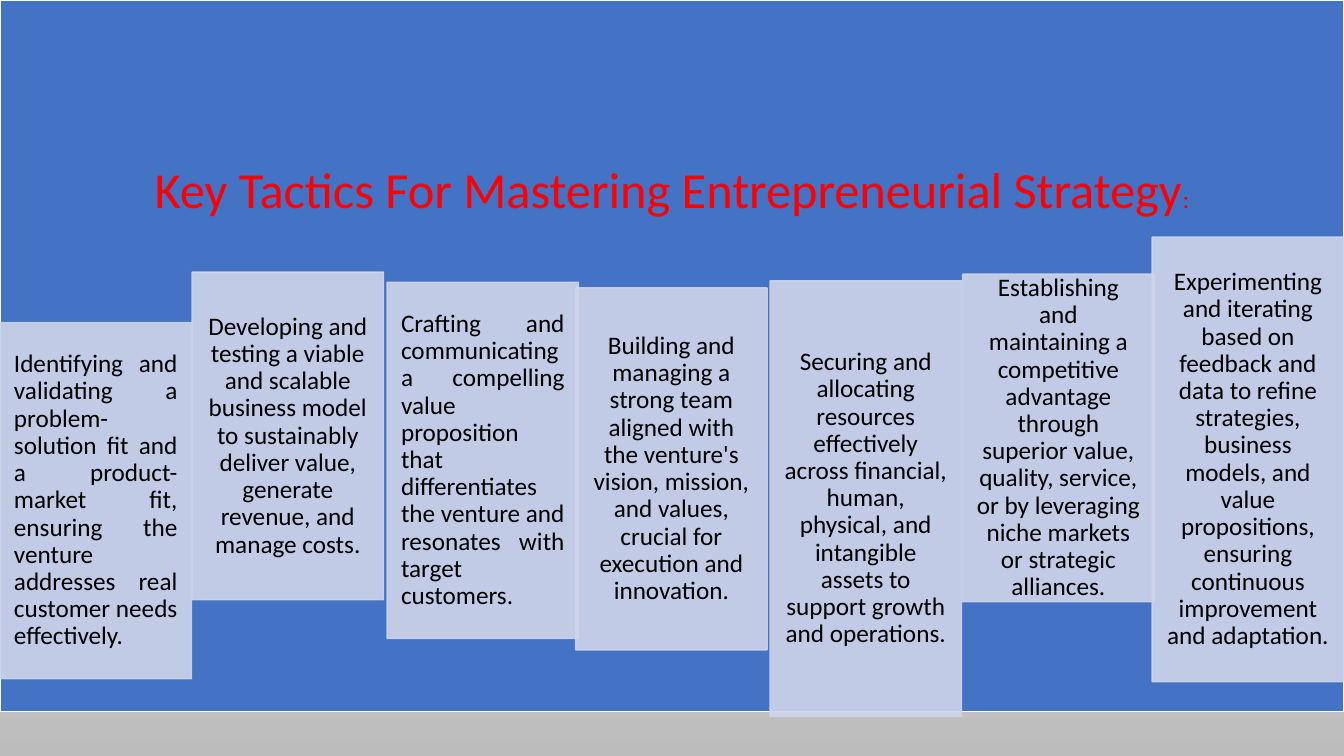
import copy
import dataclasses

import lxml.etree
import pptx
import pptx.dml.color
import pptx.enum.shapes
import pptx.enum.text
import pptx.oxml.ns
import pptx.util

Pt = pptx.util.Pt
Align = pptx.enum.text.PP_ALIGN
qn = pptx.oxml.ns.qn


@dataclasses.dataclass
class Theme:
    font: str = "Calibri"
    panel: str = "4472C4"
    edge: str = "FFFFFF"
    card: str = "CFD5EA"
    head: str = "FF0000"
    text: str = "000000"
    back: tuple = ((0, "EBEAEA"), (0.5, "E4E3E3"), (1, "BDBCBC"))
    large: int = 36
    small: int = 18
    alpha: int = 90


def tint(code):
    return pptx.dml.color.RGBColor.from_string(code)


class Board:
    def __init__(self, theme, slide):
        self.theme = theme
        self.slide = slide

    def back(self):
        fill = self.slide.background.fill
        fill.gradient()
        fill.gradient_angle = 270
        stops = next(self.slide.element.iter(qn("a:gsLst")))
        stops.insert(1, copy.deepcopy(stops[0]))
        for stop, (place, code) in zip(fill.gradient_stops, self.theme.back):
            stop.position = place
            stop.color.rgb = tint(code)

    def box(self, left, top, width, height, fill, edge):
        shape = self.slide.shapes.add_shape(
            pptx.enum.shapes.MSO_SHAPE.RECTANGLE,
            Pt(left), Pt(top), Pt(width), Pt(height))
        shape.shadow.inherit = False
        shape.fill.solid()
        shape.fill.fore_color.rgb = tint(fill)
        shape.line.color.rgb = tint(edge)
        shape.line.width = Pt(1)
        return shape

    def label(self, shape, text, align, size, code, side, end):
        frame = shape.text_frame
        frame.word_wrap = True
        frame.auto_size = pptx.enum.text.MSO_AUTO_SIZE.NONE
        frame.vertical_anchor = pptx.enum.text.MSO_ANCHOR.MIDDLE
        frame.margin_left = frame.margin_right = Pt(side)
        frame.margin_top = frame.margin_bottom = Pt(end)
        para = frame.paragraphs[0]
        para.alignment = align
        para.line_spacing = 0.9
        para.font.name = self.theme.font
        para.font.size = Pt(size)
        para.font.color.rgb = tint(code)
        para.add_run().text = text
        return para

    def title(self, panel, text, tail):
        theme = self.theme
        shape = self.slide.shapes.title
        shape.left = shape.top = 0
        shape.width, shape.height = Pt(960), Pt(274.5)
        para = self.label(shape, text, Align.CENTER, theme.large, theme.head, 20, 20)
        run = para.add_run()
        run.text = tail
        run.font.size = Pt(theme.small)
        panel.element.addnext(shape.element)

    def card(self, left, top, height, align, text):
        theme = self.theme
        shape = self.box(left, top, 136.8, height, theme.card, theme.card)
        for colour in shape.element.iter(qn("a:srgbClr")):
            alpha = lxml.etree.SubElement(colour, qn("a:alpha"))
            alpha.set("val", str(theme.alpha * 1000))
        self.label(shape, text, align, theme.small, theme.text, 10, 2)


CARDS = [
    (0, 230.4, 254.4, Align.JUSTIFY,
     "Identifying and validating a problem-solution fit and a product-market fit, "
     "ensuring the venture addresses real customer needs effectively."),
    (137.2, 194.4, 234, Align.CENTER,
     "Developing and testing a viable and scalable business model to sustainably "
     "deliver value, generate revenue, and manage costs."),
    (276.5, 201.6, 254.4, Align.JUSTIFY,
     "Crafting and communicating a compelling value proposition that "
     "differentiates the venture and resonates with target customers."),
    (411.2, 205.6, 258.6, Align.CENTER,
     "Building and managing a strong team aligned with the venture's vision, "
     "mission, and values, crucial for execution and innovation."),
    (550, 200.6, 311, Align.CENTER,
     "Securing and allocating resources effectively across financial, human, "
     "physical, and intangible assets to support growth and operations."),
    (687.6, 195.8, 234, Align.CENTER,
     "Establishing and maintaining a competitive advantage through superior value, "
     "quality, service, or by leveraging niche markets or strategic alliances."),
    (823, 169.4, 317.5, Align.CENTER,
     "Experimenting and iterating based on feedback and data to refine strategies, "
     "business models, and value propositions, ensuring continuous improvement "
     "and adaptation."),
]


def main():
    deck = pptx.Presentation()
    deck.slide_width, deck.slide_height = Pt(960), Pt(540)
    theme = Theme()
    board = Board(theme, deck.slides.add_slide(deck.slide_layouts[5]))
    board.back()
    panel = board.box(0, 0, 960, 508.3, theme.panel, theme.edge)
    board.title(panel, "Key Tactics For Mastering Entrepreneurial Strategy", ":")
    for card in CARDS:
        board.card(*card)
    deck.save("out.pptx")


if __name__ == "__main__":
    main()
